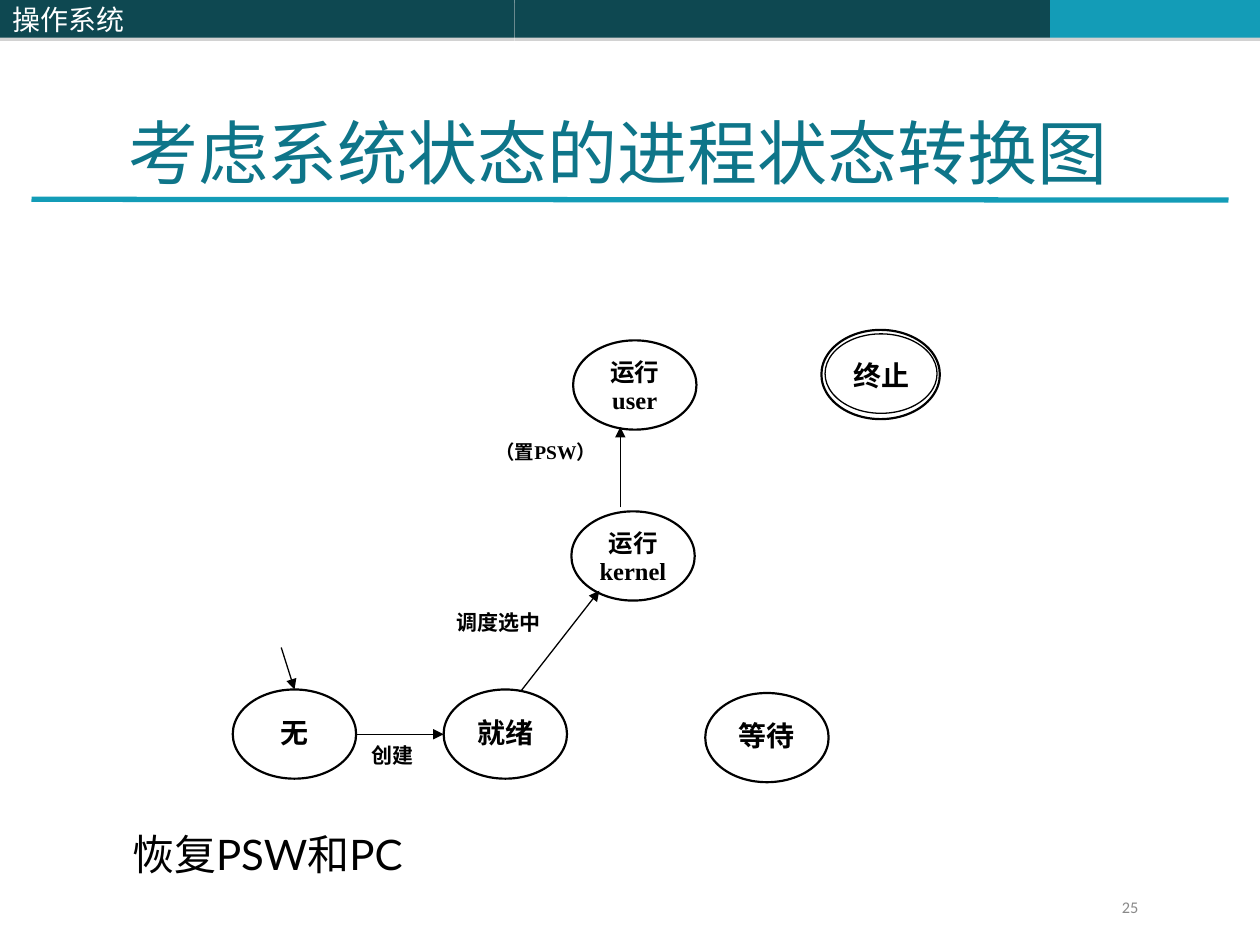
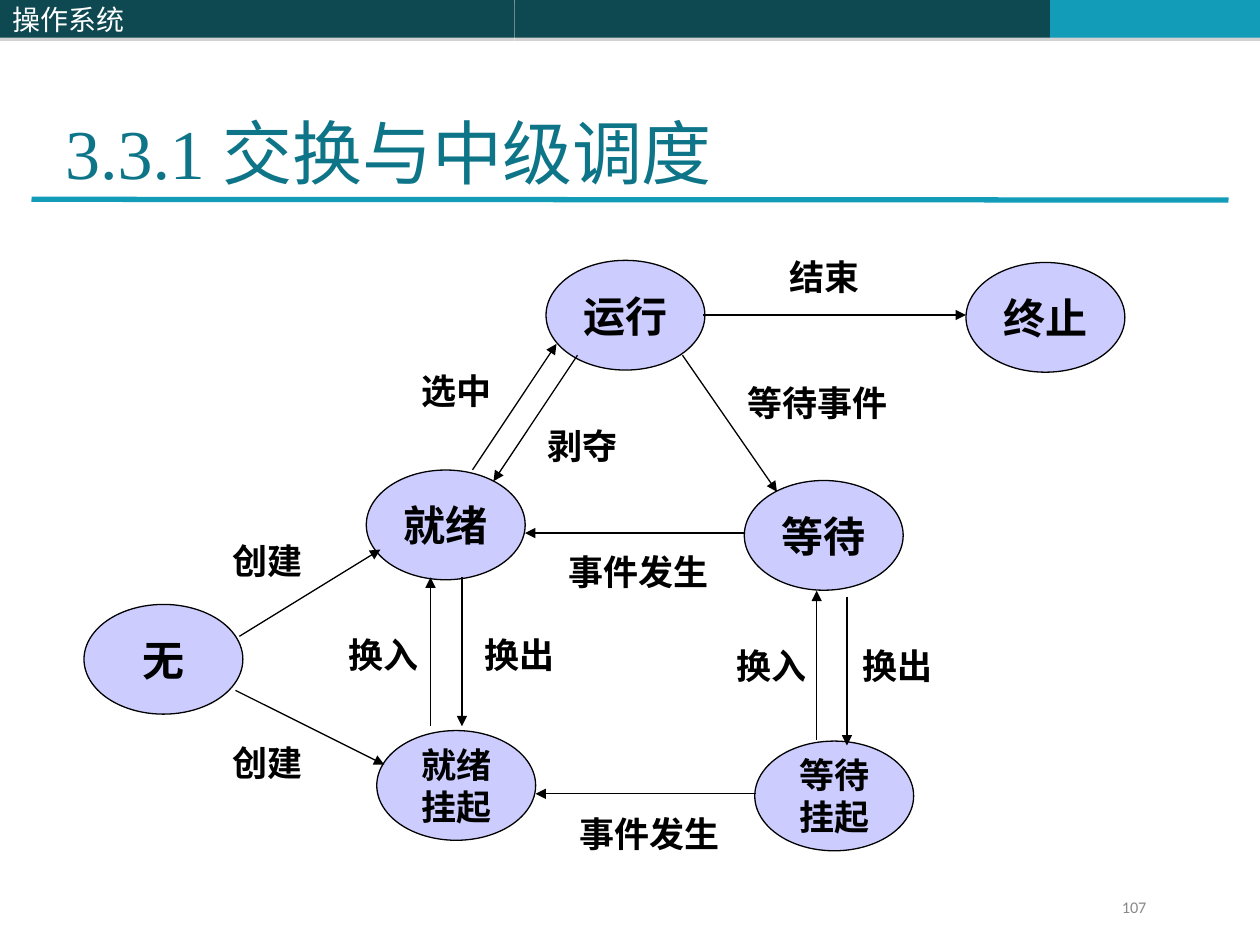
from pptx import Presentation
from pptx.dml.color import RGBColor as RGB
from pptx.enum.shapes import MSO_CONNECTOR as LINE, MSO_SHAPE as KIND
from pptx.enum.text import MSO_ANCHOR as ANC, MSO_AUTO_SIZE as AUTO, PP_ALIGN as AL
from pptx.oxml import parse_xml
from pptx.oxml.ns import nsdecls
from pptx.util import Pt

HUES = {"dark": "0E4851", "teal": "139CB7", "title": "0E7589", "black": "000000",
        "white": "FFFFFF", "lilac": "CCCCFF", "grey": "898989", "shade": "808080"}
ROMAN, HAN = "Times New Roman", "Noto Sans CJK SC"

# Text formats: font values, colour, paragraph values and frame values
def style(size, hue="black", name=ROMAN, bold=False, para=None, pads=(7.2, 3.6, 7.2, 3.6),
          anchor=ANC.TOP, wrap=True):
    sides = ("margin_left", "margin_top", "margin_right", "margin_bottom")
    frame = {side: Pt(pad) for side, pad in zip(sides, pads)}
    frame |= {"vertical_anchor": anchor, "word_wrap": wrap, "auto_size": AUTO.NONE}
    para = {"alignment": AL.LEFT, "line_spacing": 1.0} | (para or {})
    return {"font": {"size": Pt(size), "name": name, "bold": bold},
            "hue": hue, "para": para, "frame": frame}


MID = {"alignment": AL.CENTER}
TIGHT = MID | {"line_spacing": 0.96}
JUST = {"alignment": AL.JUSTIFY}
THIN = (1.5, 0.75, 1.5, 0.75)

TITLE = style(40, "title", anchor=ANC.BOTTOM)
BAND = style(16, "white", HAN, anchor=ANC.MIDDLE)
PAGE = style(9.3, "grey", "Calibri", para={"line_spacing": 0.8})
NOTE = style(24, name="Lato")
TAG = style(20, bold=True)
SMALL = style(12, bold=True, para=JUST, pads=THIN)
PSW = style(11.1, bold=True, para=JUST | {"line_spacing": 0.9}, pads=THIN)
ONE = style(16, bold=True, para=TIGHT, pads=(3, 8.5, 3, 6))
TWO = style(14, bold=True, para=TIGHT, pads=(3, 3, 3, 3))
BIG = style(24, bold=True, para=MID, anchor=ANC.MIDDLE, wrap=False)
PAIR = style(20, bold=True, para=MID, anchor=ANC.MIDDLE, wrap=False)


def rgb(hue):
    return RGB.from_string(HUES[hue])


def dress(item, vals):
    for key, val in vals.items():
        setattr(item, key, val)


def write(shape, text, fmt):
    """Fill a shape with text, one paragraph per line."""
    frame = shape.text_frame
    dress(frame, fmt["frame"])
    for i, line in enumerate(text.split("\n")):
        para = frame.add_paragraph() if i else frame.paragraphs[0]
        dress(para, fmt["para"])
        run = para.add_run()
        run.text = line
        dress(run.font, fmt["font"])
        run.font.color.rgb = rgb(fmt["hue"])
        run.font._element.append(
            parse_xml(f'<a:ea {nsdecls("a")} typeface="{HAN}"/>'))


def draw(slide, kind, box, fill=None, edge=None, width=0.75):
    shape = slide.shapes.add_shape(kind, *map(Pt, box))
    shape.shadow.inherit = False
    if fill:
        shape.fill.solid()
        shape.fill.fore_color.rgb = rgb(fill)
    else:
        shape.fill.background()
    if edge:
        shape.line.color.rgb = rgb(edge)
        shape.line.width = Pt(width)
    else:
        shape.line.fill.background()
    return shape


def label(slide, box, text, fmt):
    write(slide.shapes.add_textbox(*map(Pt, box)), text, fmt)


def patch(slide, box, text, fmt):
    write(draw(slide, KIND.RECTANGLE, box, "white", "white"), text, fmt)


def node(slide, box, text, fmt, fill="white", width=1.25):
    write(draw(slide, KIND.OVAL, box, fill, "black", width), text, fmt)


def link(slide, ends, hue="black", width=0.75, arrow=True):
    line = slide.shapes.add_connector(LINE.STRAIGHT, *map(Pt, ends))
    line.line.color.rgb = rgb(hue)
    line.line.width = Pt(width)
    if arrow:
        line.line._get_or_add_ln().append(
            parse_xml(f'<a:tailEnd {nsdecls("a")} type="triangle"/>'))
    line._element.spPr.append(parse_xml(f'<a:effectLst {nsdecls("a")}/>'))


def band(slide, left, width, hue):
    """Draw one header band with a soft edge below it."""
    shape = draw(slide, KIND.RECTANGLE, (left, 0, width, 21.6), hue)
    shape._element.spPr.find(".//{*}effectLst").append(parse_xml(
        f'<a:outerShdw {nsdecls("a")} blurRad="0" dist="{Pt(1.8)}" dir="5400000">'
        f'<a:srgbClr val="{HUES["shade"]}"><a:alpha val="35000"/></a:srgbClr>'
        '</a:outerShdw>'))
    return shape


def start(deck, title, box, page):
    """Add a slide with its title, header bands, rule and page number."""
    slide = deck.slides.add_slide(deck.slide_layouts[5])
    head = slide.shapes.title
    dress(head, dict(zip(("left", "top", "width", "height"), map(Pt, box))))
    write(head, title, TITLE)
    band(slide, 294, 306, "dark")
    band(slide, 600, 120, "teal")
    write(band(slide, 0, 294, "dark"), "操作系统", BAND)
    link(slide, (18, 113.9, 702, 114.3), "teal", 3, False)
    label(slide, (634, 511.2, 72, 19.5), page, PAGE)
    return slide


def modes(deck):
    slide = start(deck, "考虑系统状态的进程状态转换图", (66, 58.5, 592, 55.5), "25")
    # Labels beside the arrows
    for box, text, fmt in (((259.5, 347.5, 56, 24), "调度选中", SMALL),
                           ((281.5, 252.5, 69, 24), "（置PSW）", PSW),
                           ((211, 423.5, 34.5, 24), "创建", SMALL)):
        patch(slide, box, text, fmt)
    # States
    for left, top, text, fmt in ((327.5, 194.5, "运行\nuser", TWO),
                                 (326.5, 292.2, "运行\nkernel", TWO),
                                 (403, 396, "等待", ONE),
                                 (253.5, 394, "就绪", ONE),
                                 (133, 394, "无", ONE)):
        node(slide, (left, top, 70.5, 51), text, fmt)
    # Final state with its double ring
    node(slide, (471.5, 190.8, 64, 45.4), "终止", ONE, width=0.75)
    draw(slide, KIND.OVAL, (469.4, 188.5, 67.7, 51), None, "black", 1.25)
    # Moves
    for ends in ((354.5, 290, 354.5, 244), (298, 394.5, 342.5, 337.5),
                 (203.5, 419.6, 253.5, 419.6), (160.7, 370, 168.3, 394)):
        link(slide, ends)
    label(slide, (68.4, 470, 565, 36), "恢复PSW和PC", NOTE)


def swap(deck):
    slide = start(deck, "3.3.1 交换与中级调度", (30, 24, 612, 90), "107")
    # States
    for left, top, text in ((209.3, 268.6, "就绪"), (425.3, 274.6, "等待"),
                            (312, 148.8, "运行"), (48, 345.4, "无"),
                            (552, 150, "终止"), (215.3, 417.5, "就绪\n挂起"),
                            (431.3, 423.5, "等待\n挂起")):
        fmt = PAIR if "\n" in text else BIG
        node(slide, (left, top, 90.8, 62.7), text, fmt, "lilac", 0.75)
    # Moves
    for ends in ((330, 203, 282, 275), (390, 203, 444, 281),
                 (426, 304.6, 300, 304.6), (270, 268.5, 318, 196.5),
                 (432, 453.6, 306, 453.6), (136.8, 363.6, 217.4, 314),
                 (134.6, 394.5, 219.6, 437), (402, 180, 552, 180),
                 (264, 330, 264, 415), (246, 415, 246, 330),
                 (484, 341, 484, 426), (466.7, 422.6, 466.7, 337.6)):
        link(slide, ends)
    # Labels beside the arrows
    for left, top, text in ((306, 239, "剥夺"), (234, 207.5, "选中"),
                            (420, 214.5, "等待事件"), (318, 311, "事件发生"),
                            (126, 304.5, "创建"), (126, 420, "创建"),
                            (444, 142.5, "结束"), (270, 358.5, "换出"),
                            (486, 365, "换出"), (192, 358.5, "换入"),
                            (414, 365, "换入"), (324, 461, "事件发生")):
        label(slide, (left, top, 20 * len(text) + 20, 31.5), text, TAG)


def main():
    deck = Presentation()
    dress(deck, {"slide_width": Pt(720), "slide_height": Pt(540)})
    modes(deck)
    swap(deck)
    deck.save("out.pptx")


if __name__ == "__main__":
    main()
